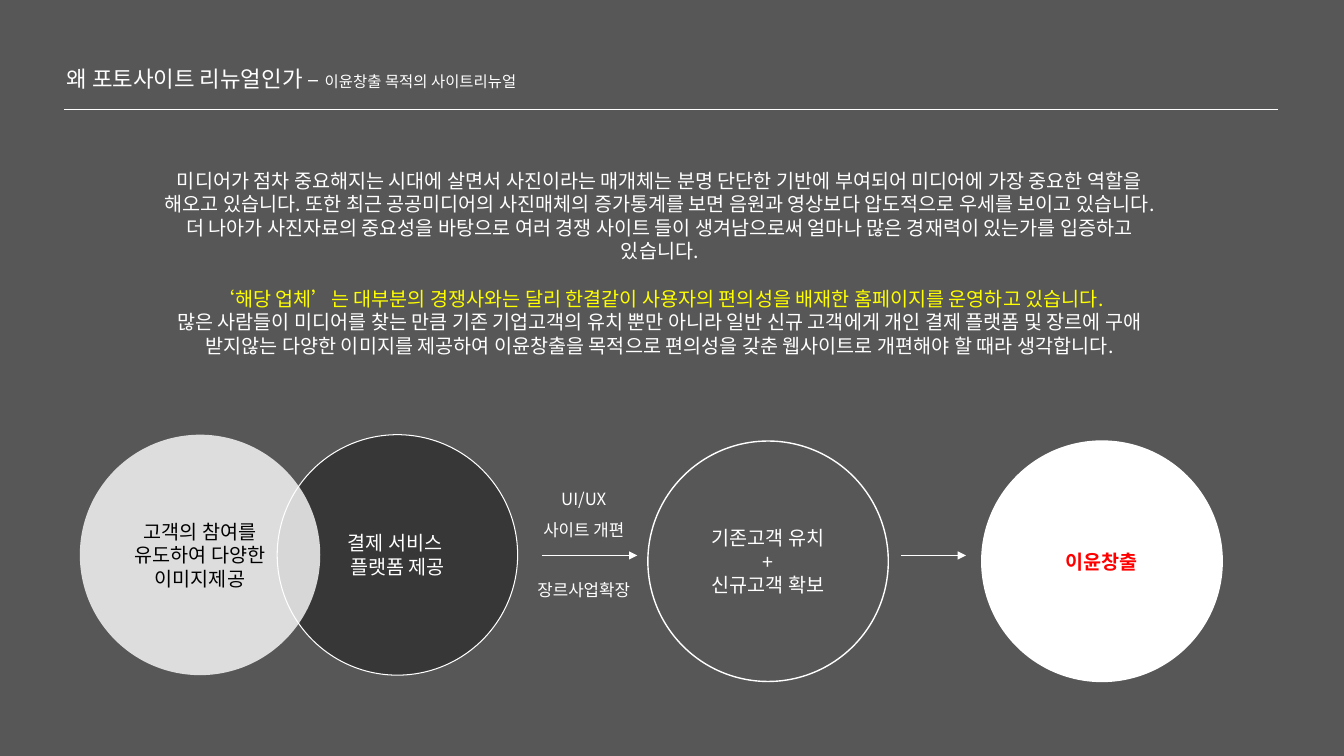
from dataclasses import dataclass
from typing import Optional

from lxml.etree import SubElement
from pptx import Presentation
from pptx.dml.color import RGBColor
from pptx.enum.shapes import MSO_CONNECTOR, MSO_SHAPE
from pptx.enum.text import MSO_ANCHOR, PP_ALIGN
from pptx.oxml.ns import qn
from pptx.shapes.autoshape import Shape
from pptx.slide import Slide
from pptx.text.text import TextFrame
from pptx.util import Emu, Pt

WHITE = RGBColor(0xFF, 0xFF, 0xFF)
BLACK = RGBColor(0x00, 0x00, 0x00)
YELLOW = RGBColor(0xFF, 0xFF, 0x00)
RED = RGBColor(0xFF, 0x00, 0x00)
FONT = "Noto Sans CJK KR"
SCALE = 9525
WIDTH, HEIGHT = 1280, 720
ROUND = 229


@dataclass
class Para:
    text: str
    size: int = 14
    color: RGBColor = WHITE
    bold: bool = False
    gap: float = 0
    pitch: float = 1


@dataclass
class Circle:
    left: int
    top: int
    paras: list[Para]
    fill: Optional[RGBColor] = None
    alpha: int = 100
    edge: Optional[float] = None


@dataclass
class Rule:
    start: int
    end: int
    top: int
    arrow: bool = False


@dataclass
class Label:
    left: int
    top: int
    width: int
    height: int
    paras: list[Para]
    align: PP_ALIGN = PP_ALIGN.CENTER
    wrap: bool = True


BODY = [
    Para("미디어가 점차 중요해지는 시대에 살면서 사진이라는 매개체는 분명 단단한 기반에 부여되어 "
         "미디어에 가장 중요한 역할을 해오고 있습니다. 또한 최근 공공미디어의 사진매체의 증가통계를 "
         "보면 음원과 영상보다 압도적으로 우세를 보이고 있습니다. 더 나아가 사진자료의 중요성을 "
         "바탕으로 여러 경쟁 사이트 들이 생겨남으로써 얼마나 많은 경재력이 있는가를 입증하고 있습니다."),
    Para("‘해당 업체’는 대부분의 경쟁사와는 달리 한결같이 사용자의 편의성을 배재한 홈페이지를 "
         "운영하고 있습니다.", color=YELLOW, gap=16.8),
    Para("많은 사람들이 미디어를 찾는 만큼 기존 기업고객의 유치 뿐만 아니라 일반 신규 고객에게 개인 "
         "결제 플랫폼 및 장르에 구애 받지않는 다양한 이미지를 제공하여 이윤창출을 목적으로 편의성을 "
         "갖춘 웹사이트로 개편해야 할 때라 생각합니다."),
]
STEPS = [
    Para("UI/UX", 12),
    Para("사이트 개편", 12, pitch=1.5),
    Para("장르사업확장", 12, gap=21.6, pitch=1.5),
]
TITLE = [Para("왜 포토사이트 리뉴얼인가 – ", 16)]
SUB = Para("이윤창출 목적의 사이트리뉴얼", 11)

LABELS = [
    Label(144, 156, 969, 229, BODY),
    Label(498, 461, 116, 112, STEPS, wrap=False),
]
HEAD = Label(54, 57, 640, 36, TITLE, PP_ALIGN.LEFT)
CIRCLES = [
    Circle(264, 414, [Para("결제 서비스 "), Para("플랫폼 제공")], BLACK, 36, 0),
    Circle(617, 420, [Para("기존고객 유치"), Para("+"), Para("신규고객 확보")], edge=1),
    Circle(76, 414, [Para("고객의 참여를 유도하여 다양한 이미지제공", color=BLACK)], WHITE, 80),
    Circle(935, 420, [Para("이윤창출", color=RED, bold=True)], WHITE, edge=1),
]
RULES = [
    Rule(61, 1217, 104),
    Rule(516, 607, 529, True),
    Rule(858, 920, 529, True),
]


def px(size: int) -> Emu:
    return Emu(size * SCALE)


def style(run, para: Para) -> None:
    font = run.font
    font.size = Pt(para.size)
    font.bold = para.bold
    font.color.rgb = para.color
    font.name = FONT
    SubElement(run.font._element, qn("a:ea")).set("typeface", FONT)


def write(frame: TextFrame, paras: list[Para], align: PP_ALIGN) -> None:
    frame.text = "\n".join(para.text for para in paras)
    for line, para in zip(frame.paragraphs, paras):
        line.alignment = align
        line.line_spacing = para.pitch
        if para.gap:
            line.space_before = Pt(para.gap)
        style(line.runs[0], para)


def paint(shape: Shape, color: RGBColor, alpha: int) -> None:
    shape.fill.solid()
    shape.fill.fore_color.rgb = color
    if alpha < 100:
        tone = shape.element.spPr.find(qn("a:solidFill")).find(qn("a:srgbClr"))
        SubElement(tone, qn("a:alpha")).set("val", str(alpha * 1000))


def add_veil(slide: Slide) -> None:
    veil = slide.shapes.add_shape(MSO_SHAPE.RECTANGLE, 0, 0, px(WIDTH), px(HEIGHT))
    veil.shadow.inherit = False
    veil.line.fill.background()
    paint(veil, BLACK, 66)


def add_label(slide: Slide, label: Label) -> TextFrame:
    box = slide.shapes.add_textbox(
        px(label.left), px(label.top), px(label.width), px(label.height))
    frame = box.text_frame
    frame.word_wrap = label.wrap
    write(frame, label.paras, label.align)
    return frame


def add_circle(slide: Slide, circle: Circle) -> None:
    shape = slide.shapes.add_shape(
        MSO_SHAPE.OVAL, px(circle.left), px(circle.top), px(ROUND), px(ROUND))
    shape.shadow.inherit = False
    if circle.fill is None:
        shape.fill.background()
    else:
        paint(shape, circle.fill, circle.alpha)
    if circle.edge is None:
        shape.line.fill.background()
    else:
        shape.line.color.rgb = WHITE
        shape.line.width = Pt(circle.edge)
    frame = shape.text_frame
    frame.word_wrap = True
    frame.vertical_anchor = MSO_ANCHOR.MIDDLE
    write(frame, circle.paras, PP_ALIGN.CENTER)


def add_rule(slide: Slide, rule: Rule) -> None:
    line = slide.shapes.add_connector(
        MSO_CONNECTOR.STRAIGHT, px(rule.start), px(rule.top), px(rule.end), px(rule.top))
    line.line.color.rgb = WHITE
    line.line.width = Pt(0.5)
    props = line.element.spPr
    if rule.arrow:
        SubElement(props.find(qn("a:ln")), qn("a:tailEnd")).set("type", "triangle")
    SubElement(props, qn("a:effectLst"))


def main() -> None:
    deck = Presentation()
    deck.slide_width, deck.slide_height = px(WIDTH), px(HEIGHT)
    slide = deck.slides.add_slide(deck.slide_layouts[6])
    add_veil(slide)
    for circle in CIRCLES:
        add_circle(slide, circle)
    for label in LABELS:
        add_label(slide, label)
    head = add_label(slide, HEAD).paragraphs[0]
    run = head.add_run()
    run.text = SUB.text
    style(run, SUB)
    for rule in RULES:
        add_rule(slide, rule)
    deck.save("out.pptx")


if __name__ == "__main__":
    main()
